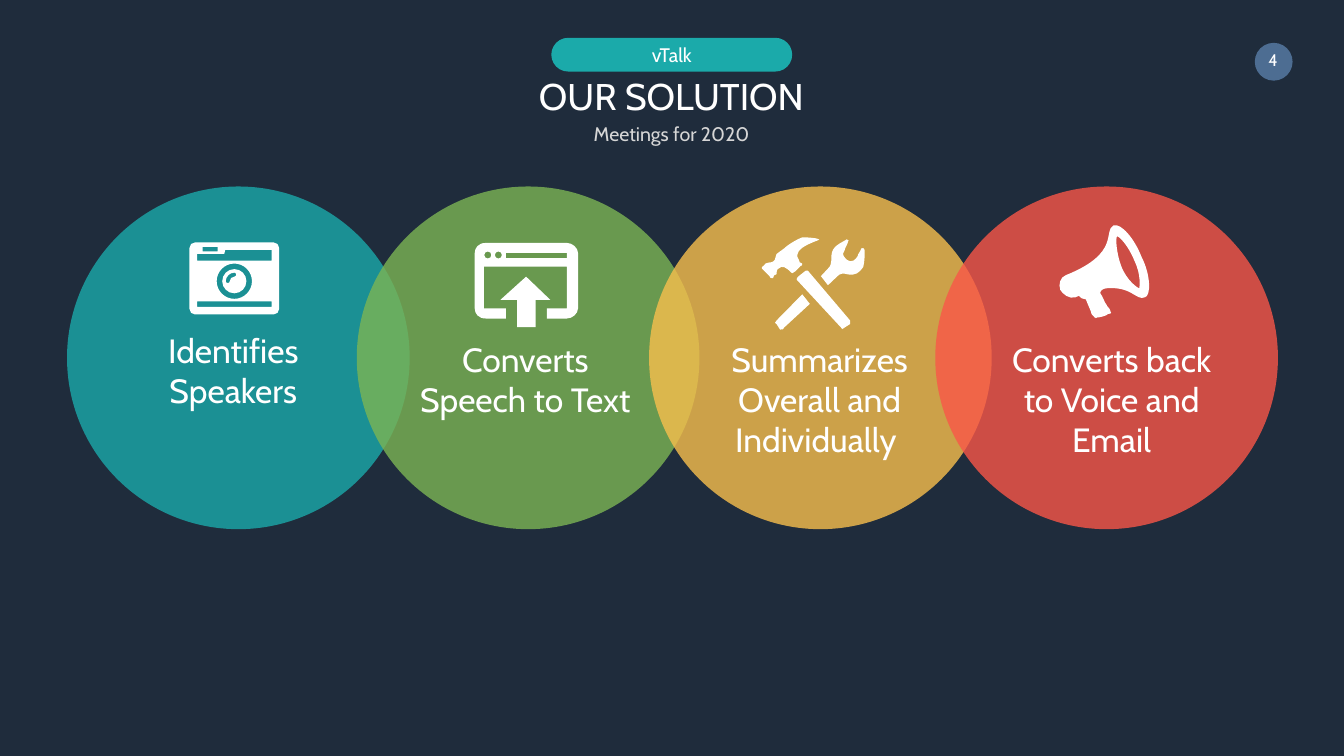
"""Build the "Our solution" slide: four overlapping circles with icons and captions."""
from lxml import etree
from pptx import Presentation
from pptx.dml.color import RGBColor
from pptx.enum import shapes, text
from pptx.oxml.ns import qn

PX = 9144
WIDTH, HEIGHT = 2667, 1500
FONT = "Cabin"
NAVY = RGBColor(0x1F, 0x2C, 0x3C)
WHITE = RGBColor(0xFF, 0xFF, 0xFF)
GREY = RGBColor(0xD6, 0xD6, 0xD6)
BLUE = RGBColor(0x4D, 0x6D, 0x92)
TEAL = RGBColor(0x1B, 0xAA, 0xAA)
GREEN = RGBColor(0x7C, 0xB5, 0x54)
YELLOW = RGBColor(0xF8, 0xBF, 0x4D)
RED = RGBColor(0xF9, 0x56, 0x48)

TITLE, SUBTITLE, LABEL, NUMBER = "OUR SOLUTION", "Meetings for 2020", "vTalk", "4"
CIRCLE_TOP, CIRCLE_SIZE = 370, 680
STEPS = [
    (133, TEAL, "Identifies Speakers", (216, 641, 494, 188)),
    (708, GREEN, "Converts Speech to Text", (796, 659, 493, 188)),
    (1288, YELLOW, "Summarizes Overall and Individually ", (1396, 659, 461, 269)),
    (1856, RED, "Converts back to Voice and Email", (1959, 659, 494, 269)),
]


def box(left, top, right, bottom):
    return [(left, top), (right, top), (right, bottom), (left, bottom)]


def rounded(left, top, right, bottom, r):
    k = 0.45 * r
    return [(left + r, top), (right - r, top),
            (right - k, top, right, top + k, right, top + r), (right, bottom - r),
            (right, bottom - k, right - k, bottom, right - r, bottom), (left + r, bottom),
            (left + k, bottom, left, bottom - k, left, bottom - r), (left, top + r),
            (left, top + k, left + k, top, left + r, top)]


def oval(x, y, radius):
    outline = rounded(x - radius, y - radius, x + radius, y + radius, radius)
    return outline[:1] + [entry for entry in outline if len(entry) == 6]


CAMERA = [
    rounded(376, 481, 554, 624, 11),
    [(539, 496), (447, 496), (445, 504), (391, 504), (391, 517), (539, 517)],
    box(391, 598, 539, 609), box(402, 490, 432, 499),
    oval(465, 558, 35), oval(465, 558, 24),
    [(456, 558), (456, 553, 460, 549, 465, 549), (470, 549, 470, 541, 465, 541),
     (456, 541, 448, 549, 448, 558), (448, 563, 456, 563, 456, 558)],
]
UPLOAD = [
    [(964, 482), (1125, 482), (1136, 482, 1147, 492, 1147, 502), (1147, 612),
     (1147, 622, 1136, 632, 1125, 632), (1085, 632), (1085, 612), (1125, 612),
     (1125, 529), (960, 529), (960, 612), (1004, 612), (1004, 632), (964, 632),
     (949, 632, 942, 622, 942, 612), (942, 502), (942, 492, 949, 482, 964, 482)],
    oval(968, 506, 7), oval(989, 506, 7), box(1004, 502, 1125, 512),
    [(1044, 549), (993, 595), (1026, 595), (1026, 649), (1063, 649), (1063, 595),
     (1092, 595)],
]
TOOLS = [
    [(1545, 533), (1552, 526, 1560, 530, 1570, 541), (1574, 544, 1574, 541, 1574, 541),
     (1578, 541, 1588, 526, 1592, 526), (1592, 523), (1588, 523, 1585, 519, 1585, 515),
     (1567, 490, 1636, 475, 1625, 475), (1618, 471, 1596, 471, 1592, 471),
     (1581, 475, 1563, 486, 1556, 493), (1545, 501, 1541, 504, 1541, 504),
     (1537, 508, 1541, 515, 1534, 519), (1527, 523, 1523, 519, 1519, 523),
     (1519, 526, 1515, 526, 1512, 530), (1512, 533), (1527, 548),
     (1527, 552, 1530, 552, 1534, 552), (1534, 548, 1537, 544, 1541, 544),
     (1541, 544, 1541, 533, 1545, 533)],
    [(1603, 537), (1599, 537), (1585, 548), (1581, 552, 1581, 552, 1581, 555),
     (1669, 650), (1669, 654, 1673, 654, 1676, 650), (1687, 643),
     (1687, 639, 1687, 636, 1687, 636)],
    [(1716, 497), (1713, 490, 1713, 493, 1709, 493), (1709, 497, 1702, 504, 1702, 508),
     (1698, 515, 1691, 523, 1680, 515), (1669, 504, 1673, 501, 1676, 497),
     (1676, 493, 1683, 483, 1683, 479), (1687, 479, 1683, 475, 1680, 475),
     (1676, 479, 1654, 486, 1651, 501), (1647, 511, 1654, 523, 1643, 533),
     (1629, 548), (1643, 566), (1662, 548), (1665, 544, 1673, 541, 1680, 544),
     (1698, 548, 1705, 541, 1713, 530), (1716, 519, 1716, 501, 1716, 497)],
    [(1541, 636), (1537, 639, 1537, 643, 1541, 643), (1548, 654),
     (1552, 654, 1556, 654, 1556, 650), (1607, 603), (1592, 584)],
]
MEGAPHONE = [
    [(2265, 509), (2251, 473, 2225, 443, 2210, 447), (2188, 458, 2225, 502, 2115, 546),
     (2104, 550, 2100, 564, 2104, 575), (2108, 583, 2122, 594, 2134, 590), (2141, 587),
     (2148, 597, 2156, 590, 2156, 597), (2159, 605, 2166, 619, 2166, 623),
     (2170, 627, 2174, 634, 2177, 630), (2181, 630, 2196, 627, 2199, 623),
     (2206, 623, 2206, 619, 2203, 616), (2203, 612, 2196, 608, 2196, 605),
     (2192, 601, 2188, 587, 2184, 583), (2181, 579, 2188, 572, 2196, 572),
     (2247, 568, 2254, 597, 2272, 590), (2284, 587, 2284, 546, 2265, 509)],
    [(2261, 572), (2258, 572, 2236, 557, 2225, 528), (2214, 498, 2214, 469, 2217, 469),
     (2221, 469, 2239, 487, 2251, 517), (2265, 546, 2261, 568, 2261, 572)],
]


def paint(shape, color, opacity=100):
    shape.shadow.inherit = False
    shape.fill.solid()
    shape.fill.fore_color.rgb = color
    shape.line.fill.background()
    if opacity < 100:
        fill = shape.fill._xPr.find(qn("a:solidFill"))
        etree.SubElement(fill[0], qn("a:alpha"), val=str(opacity * 1000))


def add_preset(slide, kind, bounds, color, opacity=100):
    shape = slide.shapes.add_shape(kind, *(n * PX for n in bounds))
    paint(shape, color, opacity)
    return shape


def add_icon(slide, contours):
    """Draw closed contours; an entry of six numbers is a cubic curve."""
    builder = None
    for contour in contours:
        numbers = [round(n * PX) for entry in contour for n in entry]
        points = list(zip(numbers[::2], numbers[1::2]))
        if builder is None:
            builder = slide.shapes.build_freeform(*points[0], scale=1.0)
        else:
            builder.move_to(*points[0])
        builder.add_line_segments(points[1:], close=True)
    shape = builder.convert_to_shape()
    segments = iter(list(shape._element.iter(qn("a:lnTo"))))
    for entry in (entry for contour in contours for entry in contour[1:]):
        segment = next(segments)
        if len(entry) == 6:
            segment.tag = qn("a:cubicBezTo")
            for _ in range(2):
                extra = next(segments)
                segment.append(extra[0])
                extra.getparent().remove(extra)
    paint(shape, WHITE)


def write(shape, words, size, color=WHITE, anchor=text.MSO_ANCHOR.TOP, inset=(27, 13)):
    frame = shape.text_frame
    frame.text = words
    frame.word_wrap = True
    frame.auto_size = text.MSO_AUTO_SIZE.NONE
    frame.vertical_anchor = anchor
    frame.margin_left = frame.margin_right = inset[0] * PX
    frame.margin_top = frame.margin_bottom = inset[1] * PX
    paragraph = frame.paragraphs[0]
    paragraph.alignment = text.PP_ALIGN.CENTER
    font = paragraph.runs[0].font
    font.name = FONT
    font.size = size * 12700
    font.color.rgb = color


def add_text(slide, bounds, words, size, **style):
    write(slide.shapes.add_textbox(*(n * PX for n in bounds)), words, size, **style)


def main():
    presentation = Presentation()
    presentation.slide_width, presentation.slide_height = WIDTH * PX, HEIGHT * PX
    slide = presentation.slides.add_slide(presentation.slide_layouts[5])
    slide.background.fill.solid()
    slide.background.fill.fore_color.rgb = NAVY
    middle = text.MSO_ANCHOR.MIDDLE

    title = slide.shapes.title
    title.left, title.top, title.width, title.height = (n * PX for n in (415, 144, 1835, 93))
    write(title, TITLE, 53, anchor=middle)
    add_text(slide, (415, 228, 1835, 86), SUBTITLE, 28, color=GREY)
    label = add_preset(slide, shapes.MSO_SHAPE.ROUNDED_RECTANGLE, (1094, 75, 478, 67), TEAL)
    label.adjustments[0] = 0.5
    write(label, LABEL, 28, anchor=middle, inset=(10, 0))
    add_preset(slide, shapes.MSO_SHAPE.OVAL, (2490, 85, 75, 75), BLUE)
    add_text(slide, (2468, 78, 117, 80), NUMBER, 24, anchor=middle)

    for left, color, _, _ in STEPS:
        bounds = (left, CIRCLE_TOP, CIRCLE_SIZE, CIRCLE_SIZE)
        add_preset(slide, shapes.MSO_SHAPE.OVAL, bounds, color, opacity=80)
    for (_, _, caption, bounds), icon in zip(STEPS, (CAMERA, UPLOAD, TOOLS, MEGAPHONE)):
        add_text(slide, bounds, caption, 48)
        add_icon(slide, icon)
    presentation.save("out.pptx")


if __name__ == "__main__":
    main()
